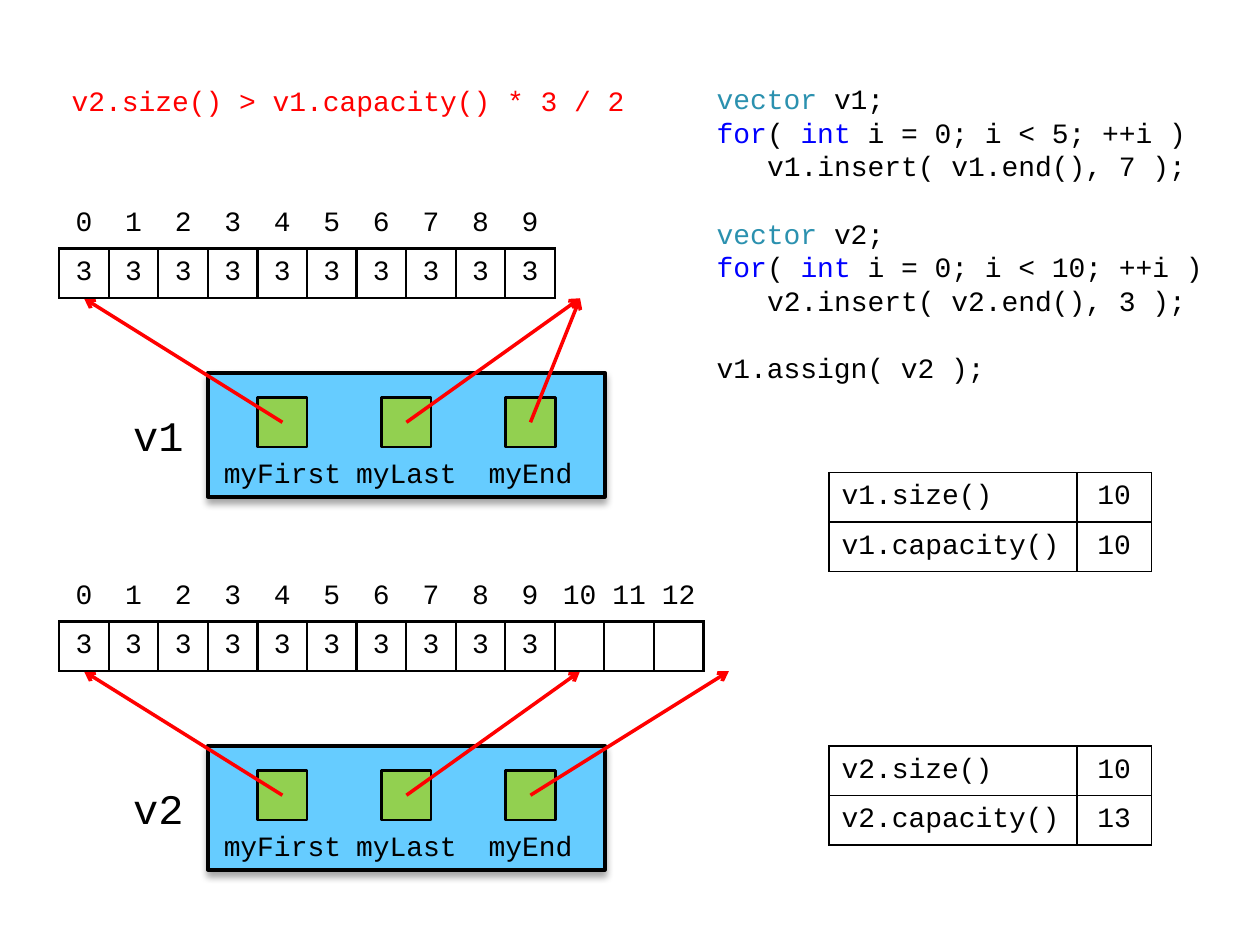
from lxml.etree import SubElement
from pptx import Presentation
from pptx.dml.color import RGBColor
from pptx.enum.shapes import MSO_CONNECTOR, MSO_SHAPE
from pptx.enum.text import MSO_ANCHOR, PP_ALIGN
from pptx.oxml.ns import qn
from pptx.util import Inches, Pt

COLORS = {"black": "000000", "red": "FF0000", "type": "2B91AF",
          "keyword": "0000FF", "object": "66CCFF", "pointer": "92D050"}
FONT = "Courier New"
CELL = 1 / 2.54  # the drawing sits on a one-centimetre grid
LEFT = 0.47
CODE_PITCH = 19.2
MEMBERS = ("myFirst", "myLast", "myEnd")


def color(name):
    return RGBColor.from_string(COLORS[name])


def set_attributes(target, values):
    for name, value in values.items():
        setattr(target, name, value)


def add_span(para, text, tint="black", size=16):
    span = para.add_run()
    span.text = text
    set_attributes(span.font, {"name": FONT, "size": Pt(size), "bold": False})
    span.font.color.rgb = color(tint)


def write(frame, text, tint="black", size=16, align=PP_ALIGN.CENTER):
    set_attributes(frame, {"word_wrap": True,
                           "vertical_anchor": MSO_ANCHOR.MIDDLE})
    para = frame.paragraphs[0]
    para.alignment = align
    add_span(para, text, tint, size)


def add_label(page, area, text, **style):
    box = page.shapes.add_textbox(*map(Inches, area))
    write(box.text_frame, text, **style)


def add_process(page, area, kind, fill=None, width=0):
    box = page.shapes.add_shape(kind, *map(Inches, area))
    box.shadow.inherit = False
    if fill:
        box.fill.solid()
        box.fill.fore_color.rgb = color(fill)
        box.line.color.rgb = color("black")
        box.line.width = Pt(width)
    else:
        box.fill.background()
        box.line.fill.background()
    return box


def add_drop_shadow(box):
    effects = box._element.spPr.find(qn("a:effectLst"))
    shadow = SubElement(effects, qn("a:outerShdw"), blurRad=str(Pt(4)),
                        dist=str(Pt(3)), dir="5400000", rotWithShape="0")
    tint = SubElement(shadow, qn("a:srgbClr"), val=COLORS["black"])
    SubElement(tint, qn("a:alpha"), val="35000")


def add_arrow(page, start, end):
    arrow = page.shapes.add_connector(MSO_CONNECTOR.STRAIGHT,
                                      *map(Inches, start + end))
    arrow.line.color.rgb = color("red")
    arrow.line.width = Pt(2)
    SubElement(arrow.line._get_or_add_ln(), qn("a:tailEnd"), type="arrow")
    SubElement(arrow._element.spPr, qn("a:effectLst"))


def set_borders(cell, sides, width):
    properties = cell._tc.get_or_add_tcPr()
    for side in "LRTB":
        line = SubElement(properties, qn(f"a:ln{side}"), w=str(Pt(width)))
        if side in sides:
            fill = SubElement(line, qn("a:solidFill"))
            SubElement(fill, qn("a:srgbClr"), val=COLORS["black"])
        else:
            SubElement(line, qn("a:noFill"))


def add_grid(page, left, top, widths, rows, margin, width, header=False):
    shape = page.shapes.add_table(
        len(rows), len(widths), Inches(left), Inches(top),
        Inches(sum(widths)), Inches(len(rows) * CELL))
    table = shape.table
    set_attributes(table, {"first_row": False, "horz_banding": False})
    for column, size in zip(table.columns, widths):
        column.width = Inches(size)
    for r, texts in enumerate(rows):
        table.rows[r].height = Inches(CELL)
        for c, text in enumerate(texts):
            cell = table.cell(r, c)
            set_attributes(cell, {
                "margin_left": Inches(margin), "margin_right": Inches(margin),
                "margin_top": Inches(0.04), "margin_bottom": Inches(0.04),
                "vertical_anchor": MSO_ANCHOR.MIDDLE})
            set_borders(cell, "B" if header and r == 0 else "LRTB", width)
            cell.fill.background()
            if text:
                para = cell.text_frame.paragraphs[0]
                first_wide = c == 0 and not header
                para.alignment = PP_ALIGN.LEFT if first_wide else PP_ALIGN.CENTER
                add_span(para, text)


def add_vector(page, name, top, size, capacity):
    """Draw the object, its three pointers and the array they point into."""
    def at(column, row):
        return LEFT + column * CELL, top + row * CELL

    body = add_process(page, (*at(3, 3.5), 8 * CELL, 2.5 * CELL),
                       MSO_SHAPE.FLOWCHART_PROCESS, "object", 2.25)
    add_drop_shadow(body)
    add_label(page, (*at(1, 4), 2 * CELL, 1.5 * CELL), name, size=24)
    columns = [4 + 2.5 * i for i in range(len(MEMBERS))]
    for column, member in zip(columns, MEMBERS):
        add_process(page, (*at(column, 4), CELL, CELL),
                    MSO_SHAPE.RECTANGLE, "pointer", 1.5)
        caption = add_process(page, (*at(column - 1, 5), 3 * CELL, CELL),
                              MSO_SHAPE.FLOWCHART_PROCESS)
        write(caption.text_frame, member)
    for column, target in zip(columns, (0, size, capacity)):
        add_arrow(page, at(column + 0.5, 4.5), at(target + 0.5, 2))

    indexes = [str(i) for i in range(capacity)]
    values = ["3"] * size + [""] * (capacity - size)
    add_grid(page, LEFT, top, [CELL] * capacity, [indexes, values],
             0.06, 1.5, header=True)


def add_facts(page, name, top, size, capacity):
    rows = [(f"{name}.size()", str(size)), (f"{name}.capacity()", str(capacity))]
    add_grid(page, 6.58, top, (5 * CELL, 1.5 * CELL), rows, 0.1, 1)


def fill_loop(name, count):
    """Return code lines as (indented, spans)."""
    return [
        (False, [("vector ", "type"), (f"{name};", "black")]),
        (False, [("for", "keyword"), ("( ", "black"), ("int", "keyword"),
                 (f" i = 0; i < {count}; ++i )", "black")]),
    ]


def add_code(page):
    box = page.shapes.add_textbox(*map(Inches, (5.59, 0.6, 4.13, 2.56)))
    frame = box.text_frame
    frame.word_wrap = True
    blocks = [
        fill_loop("v1", 5) + [(True, [("v1.insert( v1.end(), 7 );", "black")])],
        fill_loop("v2", 10) + [(True, [("v2.insert( v2.end(), 3 );", "black")])],
        [(False, [("v1.assign( v2 );", "black")])],
    ]
    for b, block in enumerate(blocks):
        for n, (indented, spans) in enumerate(block):
            para = frame.add_paragraph() if b or n else frame.paragraphs[0]
            gap = CODE_PITCH if b and n == 0 else 0
            set_attributes(para, {"line_spacing": Pt(CODE_PITCH),
                                  "space_before": Pt(gap)})
            if indented:
                para._p.get_or_add_pPr().set("marL", str(Inches(0.4)))
            for text, tint in spans:
                add_span(para, text, tint)


def main():
    deck = Presentation()
    set_attributes(deck, {"slide_width": Inches(10), "slide_height": Inches(7.5)})
    page = deck.slides.add_slide(deck.slide_layouts[6])

    # Condition and code
    add_label(page, (LEFT, 0.6, 12 * CELL, CELL),
              "v2.size() > v1.capacity() * 3 / 2", tint="red",
              align=PP_ALIGN.LEFT)
    add_code(page)

    # Both vectors with their size and capacity
    for name, top, facts_top, size, capacity in (
            ("v1", 1.58, 3.75, 10, 10), ("v2", 4.54, 5.92, 10, 13)):
        add_vector(page, name, top, size, capacity)
        add_facts(page, name, facts_top, size, capacity)

    deck.save("out.pptx")


if __name__ == "__main__":
    main()
